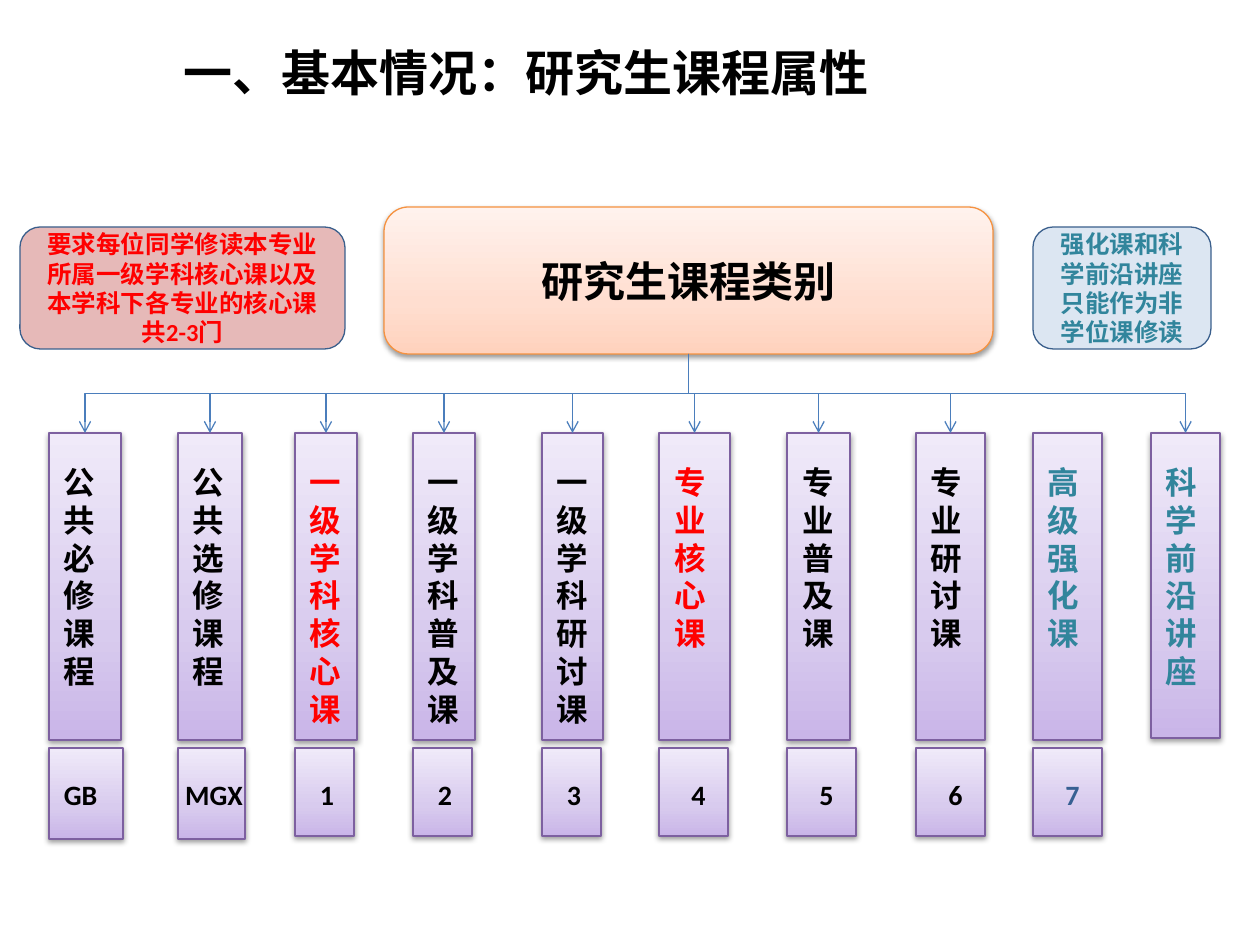
from copy import deepcopy

from lxml import etree
from pptx import Presentation
from pptx import util as u
from pptx.dml.color import RGBColor
from pptx.enum import shapes, text
from pptx.oxml import ns

BLACK, RED, TEAL, NAVY = "000000", "FF0000", "31859C", "376092"
PEACH = ["FFD2BD", "FFDED0", "FFF2ED"]
LILAC = ["C9B5E8", "D8CBEE", "F0EAF9"]
KIND = shapes.MSO_SHAPE
LEFT, MID = text.PP_ALIGN.LEFT, text.PP_ALIGN.CENTER
TOP, CARD_H = 433, 307
CODE_TOP = 748

# Cards: left, width, height, label, colour, alignment, left inset
CARDS = [
    (49, 72, CARD_H, "公共必修课程", BLACK, LEFT, 15),
    (178, 64, CARD_H, "公共选修课程", BLACK, LEFT, 15),
    (295, 62, CARD_H, "一级学科核心课", RED, LEFT, 15),
    (413, 62, CARD_H, "一级学科普及课", BLACK, LEFT, 15),
    (542, 61, CARD_H, "一级学科研讨课", BLACK, LEFT, 15),
    (659, 71, CARD_H, "专业核心课", RED, LEFT, 15),
    (787, 63, CARD_H, "专业普及课", BLACK, MID, 10),
    (916, 69, CARD_H, "专业研讨课", BLACK, LEFT, 15),
    (1033, 69, CARD_H, "高级强化课", TEAL, LEFT, 15),
    (1151, 69, 305, "科学前沿讲座", TEAL, LEFT, 15),
]
UNLINKED = "高级强化课"

# Codes, one below each of the first nine cards: label, width, height,
# colour, alignment, left inset
CODES = [
    ("GB", 74, 91, BLACK, LEFT, 15),
    ("MGX", 67, 91, BLACK, MID, 15),
    ("1", 59, 88, BLACK, MID, 15),
    ("2", 59, 88, BLACK, MID, 15),
    ("3", 59, 88, BLACK, MID, 15),
    ("4", 69, 88, BLACK, MID, 20),
    ("5", 69, 88, BLACK, MID, 20),
    ("6", 69, 88, BLACK, MID, 20),
    ("7", 69, 88, NAVY, MID, 20),
]


def px(n):
    return u.Emu(round(n * 914400 / 126))


def ink(code):
    return RGBColor.from_string(code)


def add(node, tag, **attrs):
    return etree.SubElement(node, ns.qn(tag), **attrs)


def write(shape, words, size, color=BLACK, align=MID, wrap=True,
          anchor=text.MSO_ANCHOR.MIDDLE, pad=None):
    frame = shape.text_frame
    frame.text = words
    frame.word_wrap = wrap
    frame.vertical_anchor = anchor
    if pad:
        (frame.margin_left, frame.margin_top,
         frame.margin_right, frame.margin_bottom) = map(px, pad)
    for para in frame.paragraphs:
        para.alignment = align
        font = para.runs[0].font
        font.name, font.size, font.bold = "Calibri", u.Pt(size), True
        font.color.rgb = ink(color)


def box(slide, kind, place, edge):
    shape = slide.shapes.add_shape(kind, *map(px, place))
    shape.shadow.inherit = False
    shape.line.color.rgb = ink(edge)
    shape.line.width = u.Pt(0.75)
    return shape


def note(slide, place, words, fill, color):
    shape = box(slide, KIND.ROUNDED_RECTANGLE, place, "3A5F8C")
    shape.fill.solid()
    shape.fill.fore_color.rgb = ink(fill)
    write(shape, words, 14, color)


def panel(slide, kind, place, edge, tones):
    """Shape with a three-tone vertical gradient and a soft shadow."""
    shape = box(slide, kind, place, edge)
    shape.fill.gradient()
    props = shape._element.spPr
    stops = props.find(".//" + ns.qn("a:gsLst"))
    stops.insert(1, deepcopy(stops[0]))
    for stop, spot, tone in zip(shape.fill.gradient_stops, (0, 0.35, 1), tones):
        stop.position = spot
        stop.color.rgb = ink(tone)
    shape.fill.gradient_angle = 90
    glow = add(props.find(ns.qn("a:effectLst")), "a:outerShdw", blurRad="40000",
               dist="20000", dir="5400000", rotWithShape="0")
    add(add(glow, "a:srgbClr", val=BLACK), "a:alpha", val="38000")
    return shape


def tile(slide, place, words, size, color, align, inset):
    shape = panel(slide, KIND.RECTANGLE, place, "7D60A0", LILAC)
    write(shape, words, size, color, align, wrap=False,
          anchor=text.MSO_ANCHOR.TOP, pad=(inset, 30, 10, 6))
    return shape


def link(slide, root, card):
    """Elbow arrow from the bottom of root to the top of card."""
    line = slide.shapes.add_connector(shapes.MSO_CONNECTOR.ELBOW, 0, 0, 0, 0)
    line.begin_connect(root, 2)
    line.end_connect(card, 0)
    # The elbow leaves downwards, so its frame is turned a quarter
    x, y = root.left + root.width // 2, root.top + root.height
    run, drop = card.left + card.width // 2 - x, card.top - y
    line.width, line.height = drop, abs(run)
    line.left = x + (run - drop) // 2
    line.top = y + (drop - abs(run)) // 2
    props = line._element.spPr
    right = run > 0
    for key, val in (("rot", "16200000" if right else "5400000"),
                     ("flipH", "1" if right else "0"), ("flipV", "0")):
        props.xfrm.set(key, val)
    line.line.color.rgb = ink("4B7EBC")
    line.line.width = u.Pt(0.75)
    add(props.find(ns.qn("a:ln")), "a:tailEnd", type="arrow")
    add(props, "a:effectLst")


def main():
    deck = Presentation()
    deck.slide_width, deck.slide_height = px(1260), px(945)
    slide = deck.slides.add_slide(deck.slide_layouts[6])

    # Title
    title = slide.shapes.add_textbox(*map(px, (160, 34, 1033, 76)))
    write(title, " 一、基本情况：研究生课程属性", 28, align=LEFT)

    # Root of the tree
    root = panel(slide, KIND.ROUNDED_RECTANGLE, (384, 207, 609, 147),
                 "F69240", PEACH)
    write(root, "研究生课程类别", 24, wrap=False)

    # Course kinds, one character a line, with their arrows
    for left, width, height, label, color, align, inset in CARDS:
        card = tile(slide, (left, TOP, width, height), "\n".join(label),
                    18, color, align, inset)
        if label != UNLINKED:
            link(slide, root, card)

    # Course codes
    for card, (label, width, height, color, align, inset) in zip(CARDS, CODES):
        tile(slide, (card[0], CODE_TOP, width, height), label,
             16, color, align, inset)

    # Side notes
    note(slide, (20, 227, 325, 122),
         "要求每位同学修读本专业所属一级学科核心课以及本学科下各专业的核心课共2-3门",
         "E6B9B8", RED)
    note(slide, (1033, 227, 178, 122),
         "强化课和科学前沿讲座只能作为非学位课修读", "DCE6F2", TEAL)

    deck.save("out.pptx")


if __name__ == "__main__":
    main()
